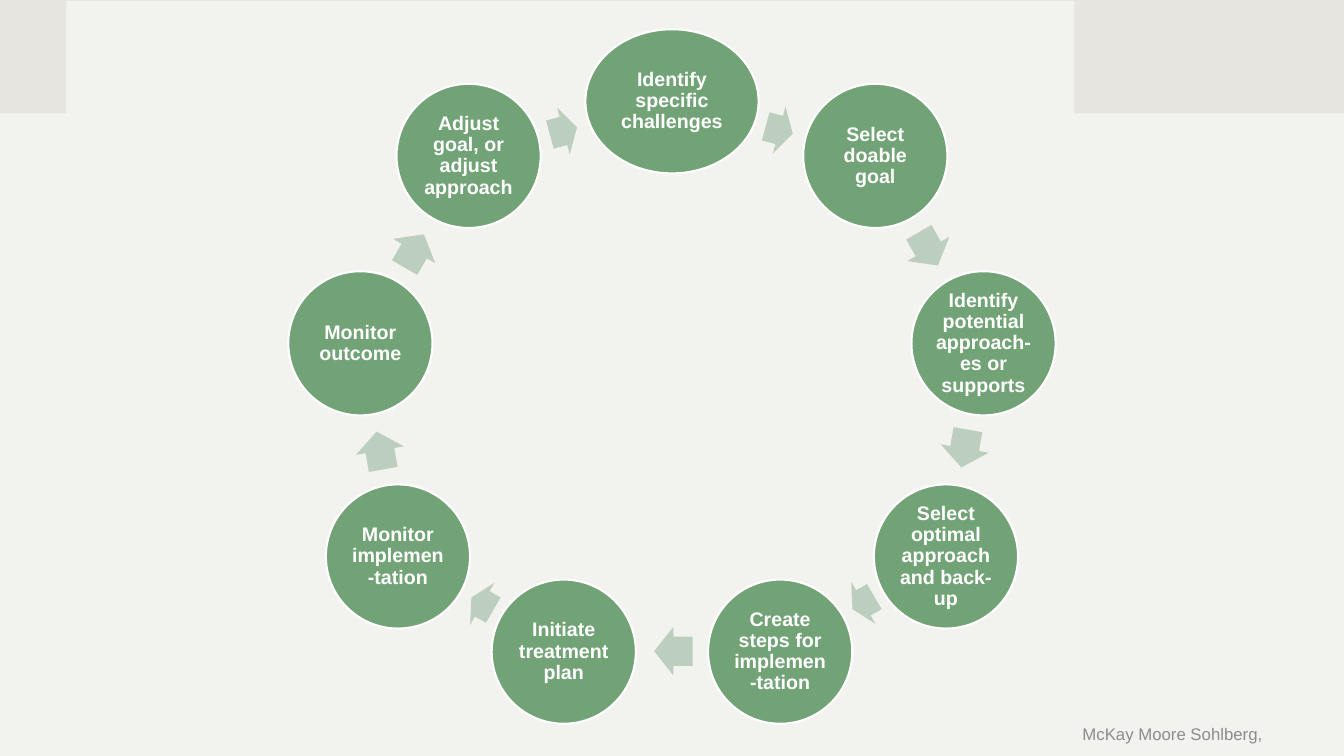
"""Build a slide showing a nine-step cycle of goal-directed treatment."""
from math import cos, radians, sin

from pptx import Presentation
from pptx import util as u
from pptx.dml.color import RGBColor
from pptx.enum import shapes, text

PAPER = RGBColor(0xF2, 0xF2, 0xEF)
BAND = RGBColor(0xE6, 0xE5, 0xDF)
GREEN = RGBColor(0x72, 0xA3, 0x76)
PALE_GREEN = RGBColor(0xBC, 0xCE, 0xBD)
WHITE = RGBColor(0xFF, 0xFF, 0xFF)
GREY = RGBColor(0x8C, 0x8C, 0x8C)

STEPS = [
    "Identify specific challenges",
    "Select doable goal",
    "Identify potential approach-es or supports",
    "Select optimal approach and back-up",
    "Create steps for implemen-tation",
    "Initiate treatment plan",
    "Monitor implemen-tation",
    "Monitor outcome",
    "Adjust goal, or adjust approach",
]
ARROWS = [
    (556.6, 92.9, 20, 15.1),
    (663.1, 177.8, 27.4, 60),
    (689, 320.4, 27.4, 100),
    (616.7, 430.6, 18, 150),
    (481, 465.1, 27.4, 180),
    (344.5, 431.3, 18, 210),
    (271.4, 321.8, 27.4, 260),
    (295.9, 179.3, 27.4, 300),
    (402.5, 93.6, 20, 344.9),
]
CENTER_X, CENTER_Y, RADIUS = 480, 284.5, 226
TOP_LIMIT, BOTTOM_LIMIT = 72.4, 465.5
DIAMETER, FIRST_WIDTH, ARROW_HEIGHT = 103, 123.8, 34.7


class CycleSlide:
    """Hold the style and current slide, and draw its elements in points."""

    font = "Arial"

    def __init__(self, deck):
        self.page = deck.slides.add_slide(deck.slide_layouts[6])
        fill = self.page.background.fill
        fill.solid()
        fill.fore_color.rgb = PAPER

    def shape(self, kind, left, top, width, height, color):
        """Add a flat filled shape without an outline."""
        box = self.page.shapes.add_shape(kind, *map(u.Pt, (left, top, width, height)))
        box.shadow.inherit = False
        box.fill.solid()
        box.fill.fore_color.rgb = color
        box.line.fill.background()
        return box

    def label(self, box, words, size, color, align, inset=None, bold=False, spacing=1.0):
        """Put one formatted paragraph into a shape."""
        frame = box.text_frame
        frame_format = {"word_wrap": True, "vertical_anchor": text.MSO_ANCHOR.MIDDLE}
        if inset is not None:
            for side in ("left", "top", "right", "bottom"):
                frame_format[f"margin_{side}"] = u.Pt(inset)
        para = frame.paragraphs[0]
        span = para.add_run()
        span.text = words
        span.font.color.rgb = color
        formats = [
            (frame, frame_format),
            (para, {"alignment": align, "line_spacing": spacing}),
            (span.font, {"name": self.font, "size": u.Pt(size), "bold": bold}),
        ]
        for target, values in formats:
            for name, value in values.items():
                setattr(target, name, value)

    def step(self, words, x, y, width):
        """Add a white-edged ellipse with its label, centred on a point."""
        box = self.shape(shapes.MSO_SHAPE.OVAL, x - width / 2, y - DIAMETER / 2,
                         width, DIAMETER, GREEN)
        box.line.color.rgb = WHITE
        box.line.width = u.Pt(1.5)
        self.label(box, words, 14, WHITE, text.PP_ALIGN.CENTER,
                   inset=1.5, bold=True, spacing=0.9)

    def arrow(self, x, y, width, angle):
        """Add a block arrow centred on a point and turned by an angle."""
        box = self.shape(shapes.MSO_SHAPE.RIGHT_ARROW, x - width / 2,
                         y - ARROW_HEIGHT / 2, width, ARROW_HEIGHT, PALE_GREEN)
        box.adjustments[0] = 0.6
        box.adjustments[1] = 0.5
        box.rotation = angle

    def footer(self, words, left, top, width, height):
        """Add the right-aligned footer."""
        box = self.page.shapes.add_textbox(*map(u.Pt, (left, top, width, height)))
        self.label(box, words, 12, GREY, text.PP_ALIGN.RIGHT)


def main():
    """Draw the backdrop, footer and cycle, then save the deck."""
    deck = Presentation()
    deck.slide_width, deck.slide_height = u.Pt(960), u.Pt(540)
    slide = CycleSlide(deck)
    slide.shape(shapes.MSO_SHAPE.RECTANGLE, 0, 0, 960, 81, BAND)
    slide.footer("McKay Moore Sohlberg, ", 562.3, 507.6, 350, 32.4)
    slide.shape(shapes.MSO_SHAPE.RECTANGLE, 47.5, 0.7, 720, 539.3, PAPER)
    for index, (words, arrow) in enumerate(zip(STEPS, ARROWS)):
        angle = radians(index * 360 / len(STEPS))
        x = CENTER_X + RADIUS * sin(angle)
        y = CENTER_Y - RADIUS * cos(angle)
        y = min(max(y, TOP_LIMIT), BOTTOM_LIMIT)
        slide.step(words, x, y, DIAMETER if index else FIRST_WIDTH)
        slide.arrow(*arrow)
    deck.save("out.pptx")


if __name__ == "__main__":
    main()
